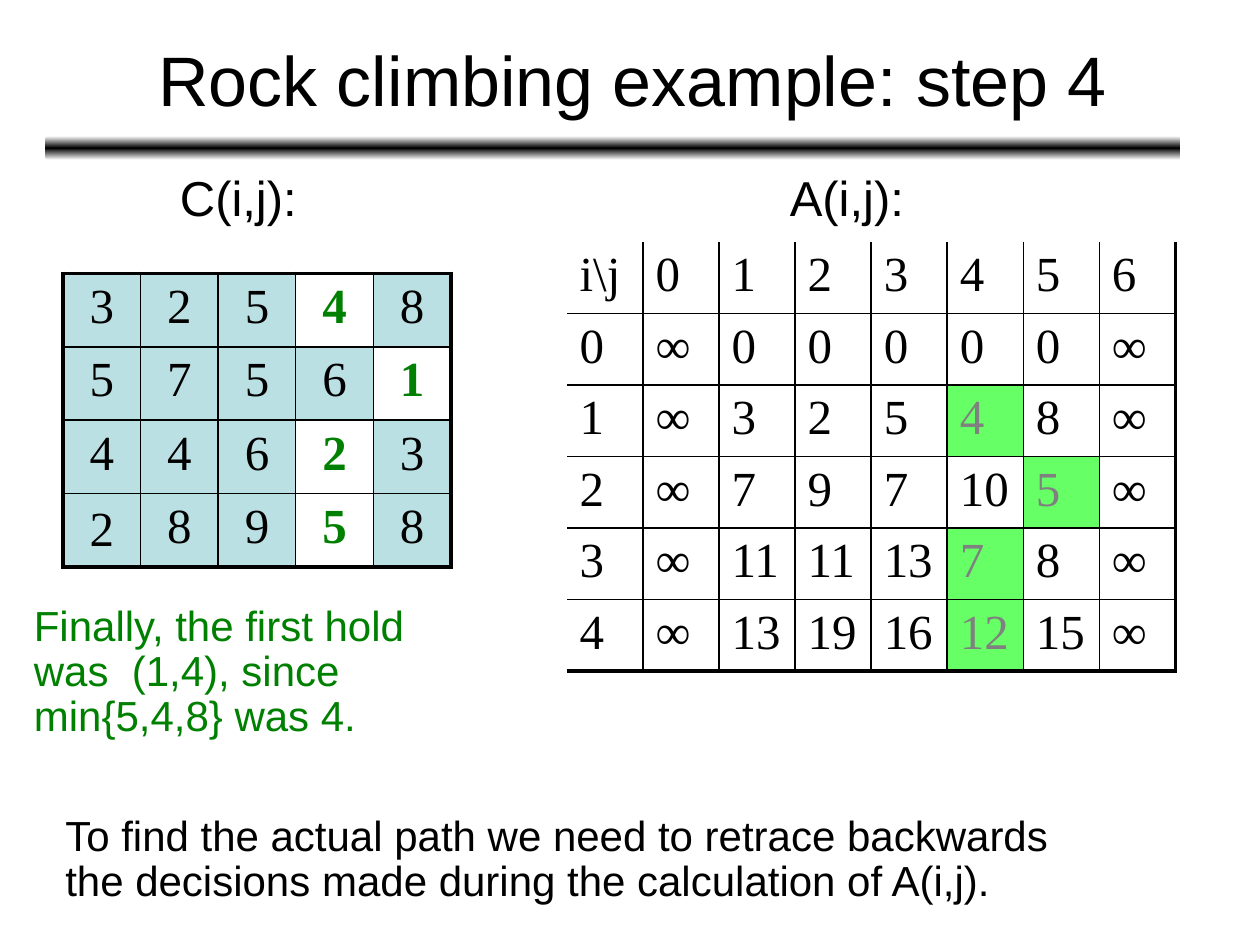
"""Build the slide on step 4 of the rock climbing example."""
from copy import deepcopy
from dataclasses import dataclass
from typing import Any

from lxml import etree
from pptx import Presentation
from pptx import dml, slide as sl, util as u
from pptx.dml import color
from pptx.enum import shapes, text
from pptx.oxml import ns


@dataclass(frozen=True)
class Theme:
    black: str = "000000"
    white: str = "FFFFFF"
    green: str = "008000"
    teal: str = "BBE0E3"
    lime: str = "66FF66"
    gray: str = "808080"
    sans: str = "Arial"
    serif: str = "Times New Roman"
    title: int = 40
    head: int = 28
    body: int = 24
    thin: float = 1
    thick: float = 2.25


T = Theme()
Box = tuple[float, float, float, float]


@dataclass(frozen=True)
class Label:
    box: Box
    lines: tuple[str, ...]
    size: int
    color: str = T.black
    wrap: bool = True
    title: bool = False


@dataclass(frozen=True)
class Grid:
    box: Box
    rows: tuple[str, ...]
    path_cells: frozenset[tuple[int, int]]
    path_fill: str
    path_font: dict[str, Any]
    fill: str | None
    align: Any
    edges: dict[str, float]
    middle: frozenset[tuple[int, int]] = frozenset()


LABELS = (
    Label((0.77, 0, 8.5, 1.25), ("Rock climbing example: step 4",), T.title, title=True),
    Label((1.33, 1.33, 1.14, 0.52), ("C(i,j):",), T.head, wrap=False),
    Label((6.17, 1.33, 1.16, 0.52), ("A(i,j):",), T.head, wrap=False),
    Label((0.42, 6.42, 8.76, 0.82),
          ("To find the actual path we need to retrace backwards",
           "the decisions made during the calculation of A(i,j)."), T.body),
    Label((0.17, 4.75, 4.08, 1.18),
          ("Finally, the first hold", "was  (1,4), since", "min{5,4,8} was 4."),
          T.body, T.green),
)

GRIDS = (
    Grid((0.5, 2.17, 3.08, 2.33),
         ("3 2 5 4 8", "5 7 5 6 1", "4 4 6 2 3", "2 8 9 5 8"),
         frozenset({(0, 3), (1, 4), (2, 3), (3, 3)}), T.white,
         {"color": T.green, "bold": True}, T.teal, text.PP_ALIGN.CENTER,
         dict.fromkeys("LRTB", T.thick), frozenset({(3, 0)})),
    Grid((4.5, 1.92, 4.83, 3.4),
         (r"i\j 0 1 2 3 4 5 6", "0 ∞ 0 0 0 0 0 ∞", "1 ∞ 3 2 5 4 8 ∞",
          "2 ∞ 7 9 7 10 5 ∞", "3 ∞ 11 11 13 7 8 ∞", "4 ∞ 13 19 16 12 15 ∞"),
         frozenset({(2, 5), (3, 6), (4, 5), (5, 5)}), T.lime,
         {"color": T.gray}, None, text.PP_ALIGN.LEFT,
         {"L": 0, "T": 0, "R": T.thick, "B": T.thick}),
)


def rgb(value: str) -> color.RGBColor:
    """Turn a hex string into a colour."""
    return color.RGBColor.from_string(value)


def place(box: Box) -> list[u.Length]:
    """Turn a box in inches into lengths."""
    return [u.Inches(v) for v in box]


def apply(obj: Any, values: dict[str, Any]) -> None:
    """Set each named attribute of an object."""
    for name, value in values.items():
        setattr(obj, name, value)


def write(p: Any, words: str, fmt: dict[str, Any]) -> None:
    """Add one formatted run to a paragraph."""
    r = p.add_run()
    r.text = words
    fmt = dict(fmt)
    r.font.color.rgb = rgb(fmt.pop("color"))
    apply(r.font, fmt)


def add_rule(s: sl.Slide) -> None:
    """Draw the gradient bar below the title."""
    sp = s.shapes.add_shape(shapes.MSO_SHAPE.ROUNDED_RECTANGLE,
                            *place((0.36, 1.08, 9.01, 0.19)))
    sp.shadow.inherit = False
    sp.line.fill.background()
    sp.fill.gradient()
    sp.fill.gradient_angle = 90
    stops = sp._element.spPr.find(".//" + ns.qn("a:gsLst"))
    stops.append(deepcopy(stops[0]))
    for stop, position, value in zip(sp.fill.gradient_stops, (0, 0.5, 1),
                                     (T.white, T.black, T.white)):
        stop.position = position
        stop.color.rgb = rgb(value)


def add_label(s: sl.Slide, label: Label) -> None:
    """Draw a text box with one paragraph per line."""
    tf = s.shapes.add_textbox(*place(label.box)).text_frame
    fit = text.MSO_AUTO_SIZE
    anchor = text.MSO_ANCHOR
    apply(tf, {
        "word_wrap": label.wrap,
        "auto_size": fit.NONE if label.title else fit.SHAPE_TO_FIT_TEXT,
        "vertical_anchor": anchor.MIDDLE if label.title else anchor.TOP,
    })
    for i, line in enumerate(label.lines):
        p = tf.add_paragraph() if i else tf.paragraphs[0]
        apply(p, {"alignment": text.PP_ALIGN.CENTER} if label.title
              else {"line_spacing": 0.9})
        write(p, line, {"name": T.sans, "size": u.Pt(label.size), "color": label.color})


def add_border(cell: Any, side: str, width: float) -> None:
    """Set one border of a cell, where zero width means none."""
    ln = etree.SubElement(cell._tc.get_or_add_tcPr(), ns.qn(f"a:ln{side}"))
    if not width:
        etree.SubElement(ln, ns.qn("a:noFill"))
        return
    ln.set("w", str(int(u.Pt(width))))
    fill = etree.SubElement(ln, ns.qn("a:solidFill"))
    etree.SubElement(fill, ns.qn("a:srgbClr"), val=T.black)


def add_grid(s: sl.Slide, grid: Grid) -> None:
    """Draw a table with evenly sized cells and a highlighted path."""
    rows = [row.split() for row in grid.rows]
    n, m = len(rows), len(rows[0])
    table = s.shapes.add_table(n, m, *place(grid.box)).table
    apply(table, {"first_row": False, "horz_banding": False})
    for col in table.columns:
        col.width = u.Inches(grid.box[2] / m)
    for row in table.rows:
        row.height = u.Inches(grid.box[3] / n)
    for i, row in enumerate(rows):
        for j, value in enumerate(row):
            cell = table.cell(i, j)
            outer = {"L": j == 0, "R": j == m - 1, "T": i == 0, "B": i == n - 1}
            for side, is_edge in outer.items():
                add_border(cell, side, grid.edges[side] if is_edge else T.thin)
            on_path = (i, j) in grid.path_cells
            fill = grid.path_fill if on_path else grid.fill
            if fill:
                cell.fill.solid()
                cell.fill.fore_color.rgb = rgb(fill)
            else:
                cell.fill.background()
            if (i, j) in grid.middle:
                cell.vertical_anchor = text.MSO_ANCHOR.MIDDLE
            p = cell.text_frame.paragraphs[0]
            p.alignment = grid.align
            before = etree.SubElement(p._p.get_or_add_pPr(), ns.qn("a:spcBef"))
            etree.SubElement(before, ns.qn("a:spcPct"), val="20000")
            fmt = {"name": T.serif, "size": u.Pt(T.head), "color": T.black, "bold": False}
            write(p, value, fmt | (grid.path_font if on_path else {}))


def main() -> None:
    """Build and save the slide."""
    prs = Presentation()
    apply(prs, {"slide_width": u.Inches(10), "slide_height": u.Inches(7.5)})
    s = prs.slides.add_slide(prs.slide_layouts[6])
    add_rule(s)
    for label in LABELS:
        add_label(s, label)
    for grid in GRIDS:
        add_grid(s, grid)
    prs.save("out.pptx")


if __name__ == "__main__":
    main()
